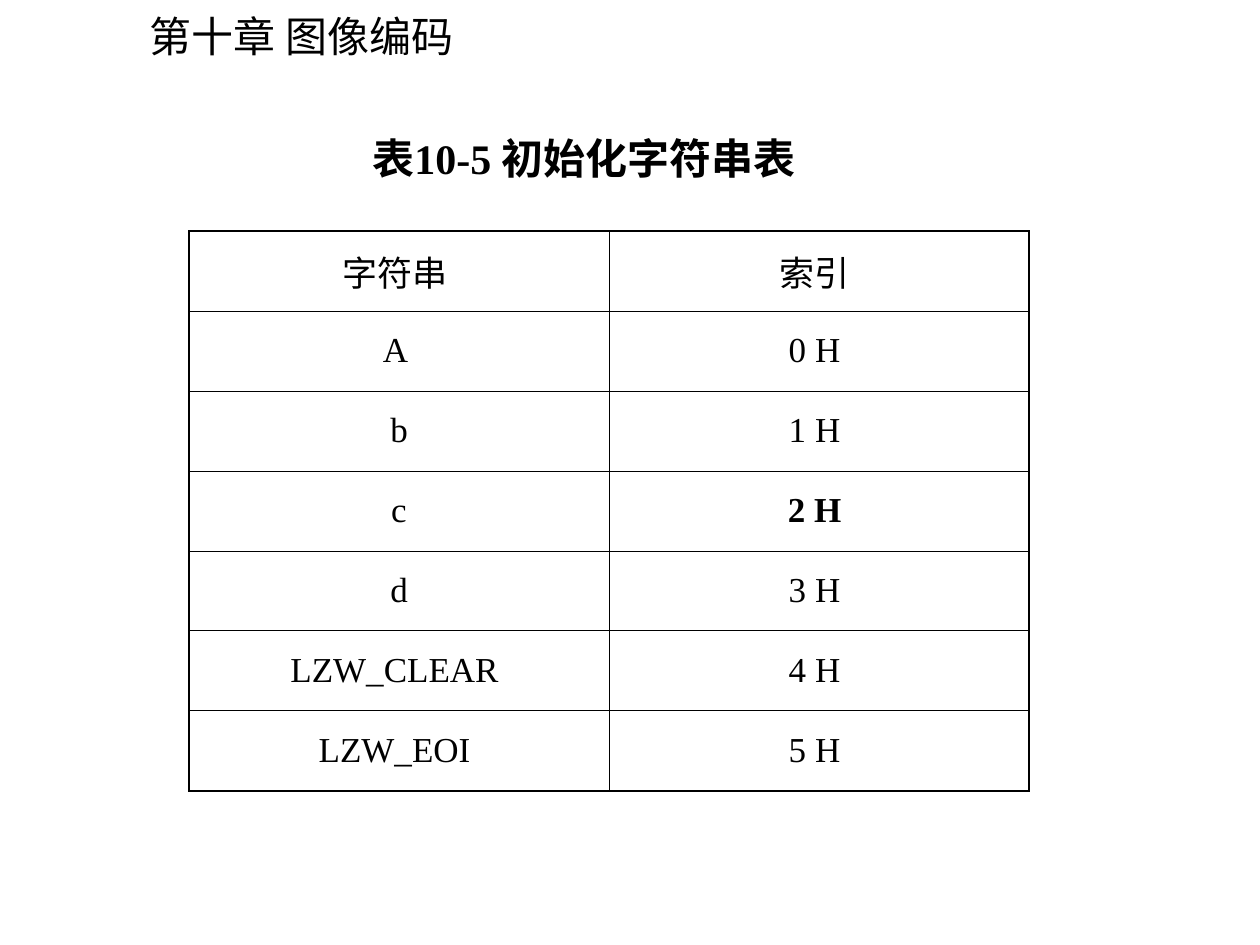
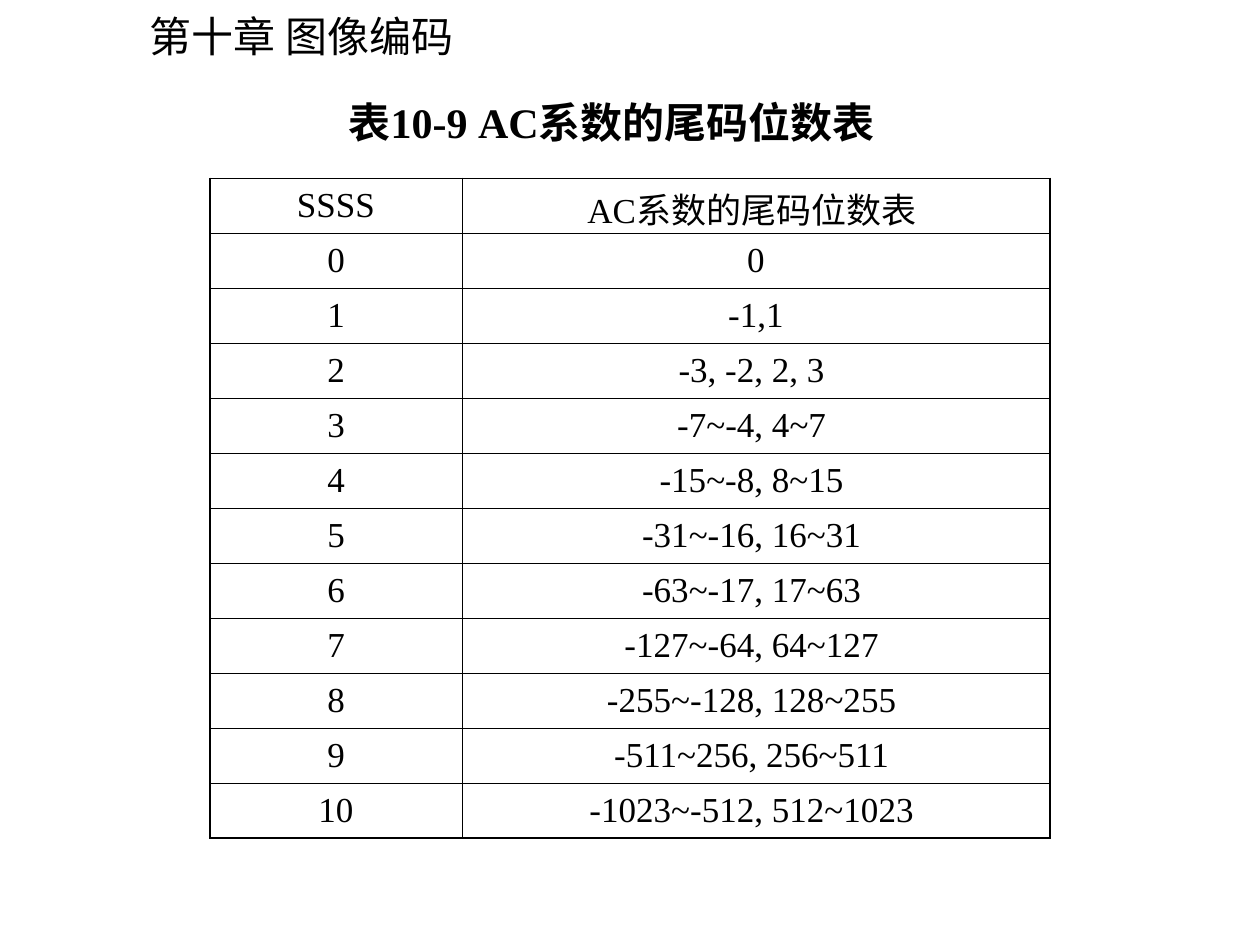
from dataclasses import dataclass

from lxml.etree import SubElement
from pptx import Presentation
from pptx.dml.color import RGBColor
from pptx.enum.text import MSO_ANCHOR, MSO_AUTO_SIZE, PP_ALIGN
from pptx.oxml.ns import qn
from pptx.util import Pt


@dataclass(frozen=True)
class Theme:
    ink: RGBColor = RGBColor(0, 0, 0)
    latin: str = "Times New Roman"
    chinese: str = "Noto Sans CJK SC"
    heading_size: float = 24
    cell_size: float = 20
    outer_line: float = 1.08
    inner_line: float = 0.45


theme = Theme()


def style_text(frame, text, size, face, bold=False, align=PP_ALIGN.LEFT):
    frame.text = text
    para = frame.paragraphs[0]
    para.alignment = align
    para.font.size = Pt(size)
    para.font.name = face
    para.font.bold = bold
    para.font.color.rgb = theme.ink
    properties = para.font._element
    SubElement(properties, qn("a:ea"), typeface=theme.chinese)


def draw_borders(cell, outer_sides):
    properties = cell._tc.get_or_add_tcPr()
    for side in ("L", "R", "T", "B"):
        width = theme.outer_line if side in outer_sides else theme.inner_line
        line = SubElement(properties, qn(f"a:ln{side}"), w=str(Pt(width)))
        fill = SubElement(line, qn("a:solidFill"))
        SubElement(fill, qn("a:srgbClr"), val=str(theme.ink))
    cell.fill.background()


tables = [
    {
        "caption": "表10-5 初始化字符串表",
        "caption_place": (205.6, 72.2, 290, 36),
        "origin": (108, 132),
        "columns": (240, 240),
        "row_height": 45.72,
        "bold_cells": {(3, 1)},
        "tight_cells": set(),
        "rows": [
            ("字符串 ", "索引 "),
            ("A ", "0 H "),
            ("b", "1 H "),
            ("c", "2 H "),
            ("d", "3 H "),
            ("LZW_CLEAR ", "4 H "),
            ("LZW_EOI ", "5 H "),
        ],
    },
    {
        "caption": "表10-9 AC系数的尾码位数表",
        "caption_place": (192, 51.6, 350, 36),
        "origin": (120, 102),
        "columns": (144, 336),
        "row_height": 31.43,
        "bold_cells": set(),
        "tight_cells": {(0, 1)},
        "rows": [
            ("SSSS", "AC系数的尾码位数表 "),
            ("0", "0"),
            ("1", "-1,1"),
            ("2", "-3, -2, 2, 3 "),
            ("3", "-7~-4, 4~7 "),
            ("4", "-15~-8, 8~15 "),
            ("5", "-31~-16, 16~31 "),
            ("6", "-63~-17, 17~63 "),
            ("7", "-127~-64, 64~127 "),
            ("8", "-255~-128, 128~255 "),
            ("9", "-511~256, 256~511 "),
            ("10", "-1023~-512, 512~1023 "),
        ],
    },
]

deck = Presentation()
deck.slide_width, deck.slide_height = Pt(720), Pt(540)
layout = deck.slide_layouts.get_by_name("Title Only")
pages = [deck.slides.add_slide(layout) for _ in tables]

chapter = pages[0].shapes.add_textbox(Pt(78.5), Pt(2.2), Pt(193), Pt(36))
chapter.text_frame.word_wrap = True
style_text(chapter.text_frame, "第十章 图像编码", theme.heading_size, theme.chinese)
layout.shapes.element.append(chapter.element)

for page, content in zip(pages, tables):
    caption = page.shapes.title
    caption.left, caption.top, caption.width, caption.height = map(Pt, content["caption_place"])
    caption.text_frame.auto_size = MSO_AUTO_SIZE.NONE
    caption.text_frame.vertical_anchor = MSO_ANCHOR.TOP
    style_text(caption.text_frame, content["caption"], theme.heading_size, theme.latin, bold=True)

    rows, columns = content["rows"], content["columns"]
    left, top = content["origin"]
    height = content["row_height"]
    frame = page.shapes.add_table(
        len(rows), len(columns), Pt(left), Pt(top), Pt(sum(columns)), Pt(height * len(rows))
    )
    table = frame.table
    table.first_row = table.horz_banding = False
    for column, width in zip(table.columns, columns):
        column.width = Pt(width)
    for row_index, row in enumerate(rows):
        table.rows[row_index].height = Pt(height)
        for column_index, text in enumerate(row):
            cell = table.cell(row_index, column_index)
            cell.vertical_anchor = MSO_ANCHOR.MIDDLE
            position = (row_index, column_index)
            if position in content["tight_cells"]:
                cell.margin_top, cell.margin_bottom = Pt(2.3), Pt(0)
            bold = position in content["bold_cells"]
            style_text(cell.text_frame, text, theme.cell_size, theme.latin, bold, PP_ALIGN.CENTER)
            outer_sides = "L" if column_index == 0 else "R"
            if row_index == 0:
                outer_sides += "T"
            if row_index == len(rows) - 1:
                outer_sides += "B"
            draw_borders(cell, outer_sides)

deck.save("out.pptx")
